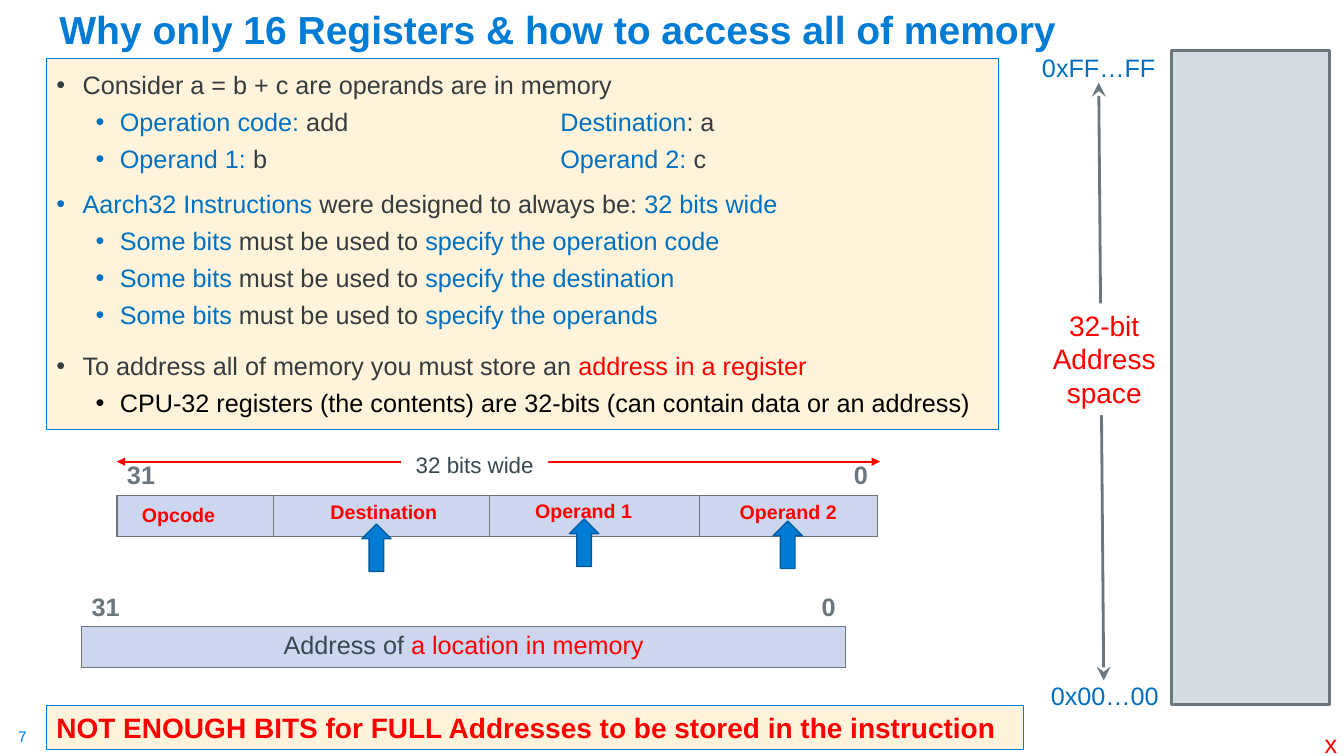
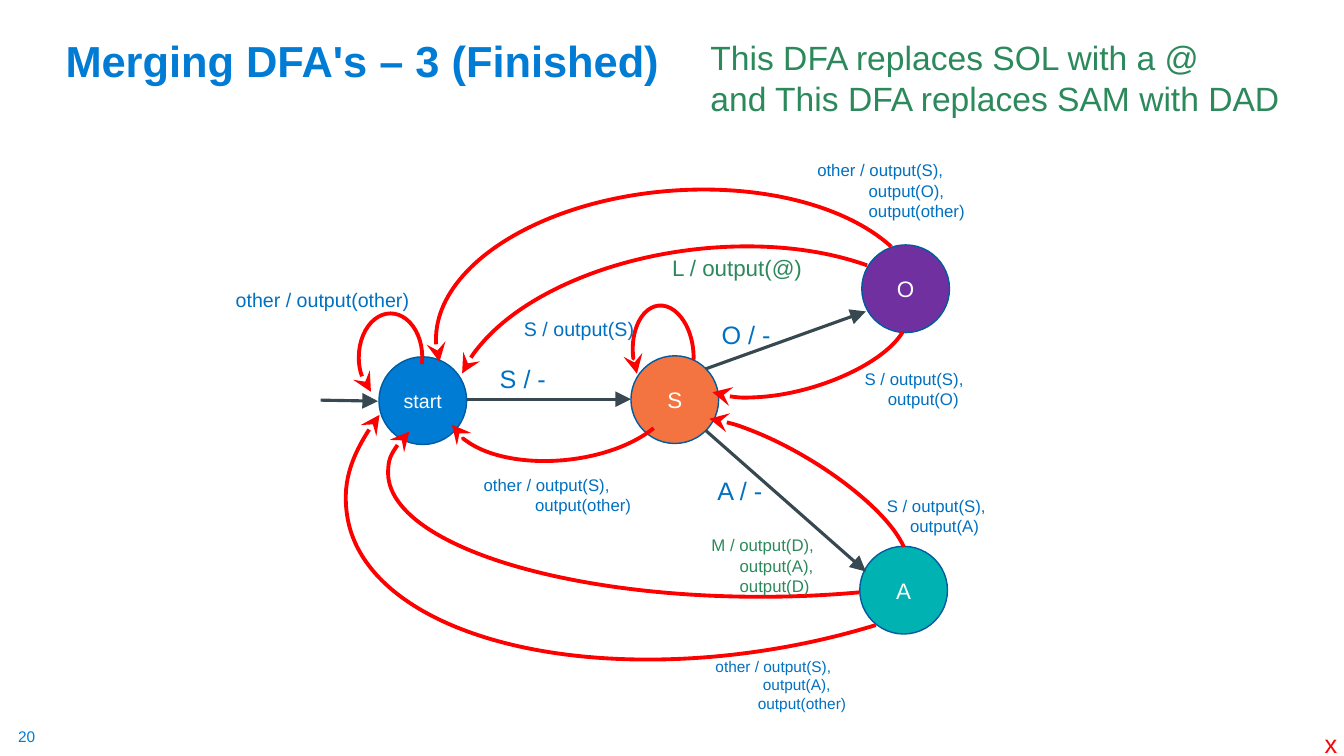
from pptx import Presentation
from pptx.dml.color import RGBColor
from pptx.enum.shapes import MSO_CONNECTOR, MSO_SHAPE
from pptx.enum.text import MSO_ANCHOR, MSO_AUTO_SIZE, PP_ALIGN
from pptx.oxml.ns import qn
from pptx.util import Pt
from lxml import etree

PX = 9144  # 100 px to the inch
FONT = "Arial"

BLUE = RGBColor(0x00, 0x7C, 0xD5)
LINK = RGBColor(0x00, 0x70, 0xC0)
NAVY = RGBColor(0x00, 0x5C, 0x9E)
RED = RGBColor(0xFF, 0x00, 0x00)
GREEN = RGBColor(0x2C, 0x89, 0x5B)
INK = RGBColor(0x36, 0x3B, 0x3E)
SLATE = RGBColor(0x38, 0x48, 0x51)
GREY = RGBColor(0x6B, 0x76, 0x7D)
PALE = RGBColor(0xD3, 0xDC, 0xE1)
CREAM = RGBColor(0xFF, 0xF4, 0xDB)
CELL = RGBColor(0xCC, 0xD7, 0xEF)
BLACK = RGBColor(0x00, 0x00, 0x00)
WHITE = RGBColor(0xFF, 0xFF, 0xFF)
ORANGE = RGBColor(0xF3, 0x74, 0x40)
PURPLE = RGBColor(0x70, 0x30, 0xA0)
TEAL = RGBColor(0x00, 0xB2, 0xB1)

LEFT, MID, RIGHT = PP_ALIGN.LEFT, PP_ALIGN.CENTER, PP_ALIGN.RIGHT
TOP, CENTER, BASE = MSO_ANCHOR.TOP, MSO_ANCHOR.MIDDLE, MSO_ANCHOR.BOTTOM
RECT, OVAL = MSO_SHAPE.RECTANGLE, MSO_SHAPE.OVAL
ARC, UP = MSO_SHAPE.ARC, MSO_SHAPE.UP_ARROW
LINE, FIXED = MSO_CONNECTOR.STRAIGHT, MSO_AUTO_SIZE.NONE


def emu(*nums):
    return [round(n * PX) for n in nums]


def node(root, tag, **attrs):
    item = etree.SubElement(root, qn(tag))
    for key, val in attrs.items():
        item.set(key, str(val))
    return item


# Text: each paragraph is a string or a list of (string, colour) runs
def write(frame, paras, size=18, color=INK, bold=False, align=LEFT):
    for i, runs in enumerate(paras):
        para = frame.paragraphs[0] if i == 0 else frame.add_paragraph()
        para.alignment = align
        for words, tint in [(runs, color)] if isinstance(runs, str) else runs:
            run = para.add_run()
            run.text = words
            font = run.font
            font.name, font.size, font.bold = FONT, Pt(size), bold
            font.color.rgb = tint


def paint(item, fill=None, line=None, width=1):
    if fill is None:
        item.fill.background()
    else:
        item.fill.solid()
        item.fill.fore_color.rgb = fill
    if line is None:
        item.line.fill.background()
    else:
        item.line.color.rgb = line
        item.line.width = Pt(width)


def shape(slide, kind, box, fill=None, line=None, width=1):
    item = slide.shapes.add_shape(kind, *emu(*box))
    item.shadow.inherit = False
    paint(item, fill, line, width)
    return item


def text(slide, box, paras, kind=None, fill=None, line=None, width=1,
         anchor=TOP, ins=(10, 5), **form):
    if kind is None:
        item = slide.shapes.add_textbox(*emu(*box))
    else:
        item = shape(slide, kind, box, fill, line, width)
    frame = item.text_frame
    frame.word_wrap, frame.vertical_anchor = True, anchor
    frame.margin_left = frame.margin_right = ins[0] * PX
    frame.margin_top = frame.margin_bottom = ins[1] * PX
    write(frame, paras, **form)
    return item


def ends(item, scale="lg", **heads):
    line = item.line._get_or_add_ln()
    for end, kind in heads.items():
        node(line, f"a:{end}End", type=kind, w=scale, len=scale)


def link(slide, start, stop, color, width, **heads):
    item = slide.shapes.add_connector(LINE, *emu(*start, *stop))
    item.line.color.rgb = color
    item.line.width = Pt(width)
    ends(item, **heads)
    node(item._element.spPr, "a:effectLst")


def indent(para, left, first=0):
    props = para._p.get_or_add_pPr()
    props.set("marL", str(left * PX))
    props.set("indent", str(first * PX))
    return props


# Parts found on every slide
def place(item, box):
    item.left, item.top, item.width, item.height = emu(*box)


def base(deck, layout, title, box, size, number):
    slide = deck.slides.add_slide(deck.slide_layouts[layout])
    head = slide.shapes.title
    place(head, box)
    frame = head.text_frame
    frame.word_wrap, frame.auto_size = True, FIXED
    frame.vertical_anchor = BASE
    write(frame, [title], size=size, color=BLUE, bold=True)
    frame.paragraphs[0].line_spacing = 0.9
    text(slide, (18, 721, 30, 19), [number], size=11, color=BLUE, ins=(0, 0))
    text(slide, (1314, 723, 15, 27), ["x"], color=RED, ins=(0, 0))
    return slide


# Bulleted list: (level, runs)
def bullets(slide, box, rows):
    body = slide.placeholders[1]
    place(body, box)
    paint(body, CREAM, BLUE, 0.75)
    frame = body.text_frame
    frame.word_wrap, frame.auto_size = True, FIXED
    frame.vertical_anchor = TOP
    write(frame, [runs for _, runs in rows])
    for i, (para, (level, runs)) in enumerate(zip(frame.paragraphs, rows)):
        para.level = level
        para.space_before = Pt(0 if i == 0 else (10.7, 4.8)[level])
        para.line_spacing = 1.2 if i in (0, len(rows) - 2) else 1.0
        props = indent(para, *((63, -24) if level else (26, -26)))
        node(props, "a:buFont", typeface=FONT)
        node(props, "a:buChar", char="•")
        if any("\t" in words for words, _ in runs):
            tabs = node(props, "a:tabLst")
            for pos in (300, 400, 500):
                node(tabs, "a:tab", pos=pos * PX, algn="l")


# Table with a plain bit-number row over a filled row
def bits(slide, x, y, cols, spans):
    frame = slide.shapes.add_table(2, len(cols), *emu(x, y, sum(cols), 81))
    table = frame.table
    table.first_row = table.horz_banding = False
    for col, width in zip(table.columns, cols):
        col.width = width * PX
    for row in range(2):
        for col in range(len(cols)):
            cell = table.cell(row, col)
            props = cell._tc.get_or_add_tcPr()
            for side in "LRTB":
                tint = GREY if row or side == "B" else WHITE
                line = node(props, f"a:ln{side}", w=12700)
                fill = node(line, "a:solidFill")
                node(fill, "a:srgbClr", val=tint)
            if row:
                cell.fill.solid()
                cell.fill.fore_color.rgb = CELL
            else:
                cell.fill.background()
                cell.vertical_anchor = BASE
    for row, first, last in spans:
        table.cell(row, first).merge(table.cell(row, last))
    form = dict(color=GREY, bold=True)
    write(table.cell(0, 0).text_frame, ["31"], **form)
    last = next(f for r, f, t in spans + [(0, 1, 1)] if r == 0 and f > 0)
    write(table.cell(0, last).text_frame, ["0"], align=RIGHT, **form)
    return table


# Address word
def address(slide, x, y):
    table = bits(slide, x, y, [379, 379], [(1, 0, 1)])
    write(table.cell(1, 0).text_frame,
          [[("Address of ", SLATE), ("a location in memory", RED)]], align=MID)


# Instruction word with its fields
def instruction(slide, x, y):
    bits(slide, x, y, [155, 215, 39, 169, 177],
         [(0, 0, 2), (0, 3, 4), (1, 2, 3)])
    for name, dx, dy in [("Opcode", 15, 43), ("Destination", 202, 40),
                         ("Operand 1", 405, 39), ("Operand 2", 608, 40)]:
        text(slide, (x + dx, y + dy, 146, 34), [name],
             size=14, color=RED, bold=True)
    link(slide, (x, y + 7), (x + 757, y + 7), RED, 1.5,
         scale="med", head="triangle", tail="triangle")
    text(slide, (x + 282, y - 8, 146, 37), ["32 bits wide"], RECT, WHITE,
         size=16, color=SLATE, align=MID)
    for dx, dy in [(243, 69), (449, 64), (651, 66)]:
        shape(slide, UP, (x + dx, y + dy, 29, 47), BLUE, NAVY)


# Memory column with its address range
def memory(slide, x, y):
    for name, dx, dy in [("0xFF…FF", 0, 2), ("0x00…00", 6, 625)]:
        text(slide, (x + dx, y + dy, 140, 30), [name], ins=(10, 0),
             color=LINK, align=MID)
    link(slide, (x + 70, y + 32), (x + 75, y + 625), GREY, 2,
         head="stealth", tail="stealth")
    text(slide, (x + 17, y + 251, 117, 111), ["32-bit Address space"], RECT,
         WHITE, ins=(5, 5), size=20, color=RED, align=MID)
    shape(slide, RECT, (x + 142, y, 157, 649), PALE, GREY, 2)


def registers(deck):
    slide = base(deck, 1, "Why only 16 Registers & how to access all of memory",
                 (49, 4, 1150, 54), 27.9, "7")
    address(slide, 81, 581)
    rows = [
        (0, [("Consider a = b + c are operands are in memory", INK)]),
        (1, [("Operation code: ", LINK), ("add \t\t\t", INK),
             ("Destination", LINK), (": a", INK)]),
        (1, [("Operand 1: ", LINK), ("b\t\t\t", INK),
             ("Operand 2: ", LINK), ("c", INK)]),
        (0, [("Aarch32 Instructions ", LINK),
             ("were designed to always be: ", INK), ("32 bits wide", LINK)])]
    rows += [(1, [("Some bits ", LINK), ("must be used to ", INK),
                  (f"specify the {part}", LINK)])
             for part in ("operation code", "destination", "operands")]
    rows += [
        (0, [("To address all of memory you must store an ", INK),
             ("address in a register", RED)]),
        (1, [("CPU-32 registers (the contents) are 32-bits "
              "(can contain data or an address)", BLACK)])]
    bullets(slide, (46, 58, 945, 368), rows)
    instruction(slide, 116, 451)
    text(slide, (46, 700, 969, 44),
         ["NOT ENOUGH BITS for FULL Addresses to be stored in the instruction"],
         RECT, CREAM, BLUE, 0.75, size=20, color=RED, bold=True)
    memory(slide, 1020, 50)


# Curved transition: box, turn, flips, start and end angle
def curve(slide, box, turn, flips, start, stop):
    item = shape(slide, ARC, box, None, RED, 2.75)
    item.adjustments[0], item.adjustments[1] = start * 0.6, stop * 0.6
    item.rotation = turn
    for axis in flips:
        item._element.spPr.xfrm.set(f"flip{axis}", "1")
    ends(item, tail="stealth")


# Label whose later lines are indented
def label(slide, x, y, width, lines, size=12, color=LINK, steps=()):
    high = 10 + round(1.6 * size * len(lines))
    item = text(slide, (x, y, width, high), lines, size=size, color=color)
    for para, step in zip(item.text_frame.paragraphs[1:], steps):
        indent(para, step)


# State machine
def machine(slide, x, y):
    for name, dx, dy, fill, size in [
            ("start", 176, 204, BLUE, 14), ("S", 426, 203, ORANGE, 16),
            ("O", 655, 93, PURPLE, 16), ("A", 653, 392, TEAL, 16)]:
        text(slide, (x + dx, y + dy, 87, 87), [name], OVAL, fill, NAVY,
             anchor=CENTER, size=size, color=WHITE, align=MID)
    for ax, ay, bx, by in [(118, 247, 175, 248), (263, 246, 426, 246),
                           (500, 216, 659, 159), (500, 277, 659, 417)]:
        link(slide, (x + ax, y + ay), (x + bx, y + by), SLATE, 2.25,
             tail="triangle")
    for dx, dy, wide, high, *form in [
            (156, 161, 63, 87, 0, "H", 167.74, 60.41),
            (249, 97, 505, 274, 172.9, "V", 210.13, 349.72),
            (299, 136, 116, 225, 83.8, "HV", 112.2, 264.34),
            (232, 39, 485, 269, 175.5, "V", 196.07, 3.97),
            (428, 153, 60, 95, 354.6, "H", 162.09, 32.57),
            (185, 196, 739, 246, 180, "", 230.42, 6.7),
            (139, 97, 798, 399, 170.3, "", 242.72, 15.22),
            (483, 145, 221, 91, 343.4, "HV", 190.5, 347.32),
            (450, 301, 267, 84, 31.5, "H", 187.84, 347.32)]:
        curve(slide, (x + dx, y + dy, wide, high), *form)
    other = "other / output(S),"
    for dx, dy, *form in [
            (286, 205, 80, ["S / -"], 18),
            (506, 162, 80, ["O / -"], 18),
            (502, 317, 80, ["A / -"], 18),
            (457, 97, 160, ["L / output(@)"], 16, GREEN),
            (310, 159, 140, ["S / output(S)"], 14),
            (24, 131, 200, ["other / output(other)"], 14),
            (496, 376, 130, ["M / output(D),", "output(A),", "output(D)"],
             12, GREEN, (28, 28)),
            (500, 497, 160, [other, "output(A),", "output(other)"],
             11, LINK, (47, 42)),
            (601, 4, 180, [other, "output(O),", "output(other)"],
             12, LINK, (51, 51)),
            (270, 316, 180, [other, "output(other)"], 12, LINK, (51,)),
            (648, 211, 130, ["S / output(S),", "output(O)"], 12, LINK, (23,)),
            (670, 337, 130, ["S / output(S),", "output(A)"], 12, LINK, (23,))]:
        label(slide, x + dx, y + dy, *form)


def merging(deck):
    slide = base(deck, 5, "Merging DFA's – 3 (Finished)",
                 (55, 13, 1150, 78), 31, "20")
    machine(slide, 200, 150)
    text(slide, (695, 32, 615, 91), ["This DFA replaces SOL with a @",
         "and This DFA replaces SAM with DAD"], size=24, color=GREEN)


def main():
    deck = Presentation()
    deck.slide_width, deck.slide_height = emu(1333.33, 750)
    registers(deck)
    merging(deck)
    deck.save("out.pptx")


if __name__ == "__main__":
    main()
